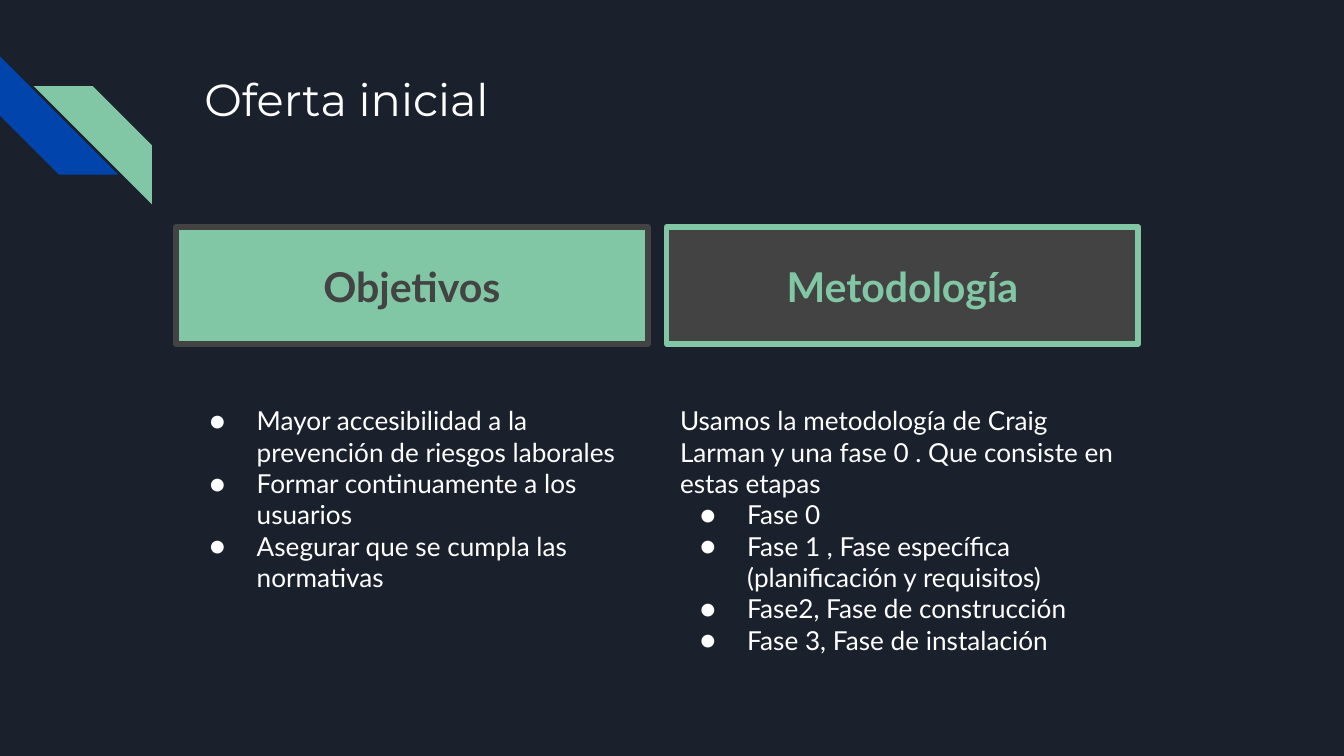
from dataclasses import dataclass

from lxml import etree
from pptx import Presentation
from pptx.dml.color import RGBColor
from pptx.enum.shapes import MSO_SHAPE
from pptx.enum.text import MSO_ANCHOR, MSO_AUTO_SIZE, PP_ALIGN
from pptx.oxml.ns import qn
from pptx.util import Inches, Pt

RECTANGLE, STRIPE = MSO_SHAPE.RECTANGLE, MSO_SHAPE.DIAGONAL_STRIPE
TOP, MIDDLE = MSO_ANCHOR.TOP, MSO_ANCHOR.MIDDLE
LEFT, CENTER = PP_ALIGN.LEFT, PP_ALIGN.CENTER
NO_AUTOFIT = MSO_AUTO_SIZE.NONE


@dataclass(frozen=True)
class Theme:
    background: str = "1B212C"
    blue: str = "0145AC"
    green: str = "82C7A5"
    grey: str = "434343"
    white: str = "FFFFFF"
    title_font: str = "Montserrat"
    text_font: str = "Lato"
    title_size: int = 24
    heading_size: int = 22
    body_size: int = 14


THEME = Theme()

# Content
TITLE = "Oferta inicial"
COLUMNS = [
    {
        "heading": "Objetivos", "fill": THEME.green, "accent": THEME.grey,
        "intro": [],
        "bullets": [
            "Mayor accesibilidad a la prevención de riesgos laborales",
            "Formar continuamente a los usuarios",
            "Asegurar que se cumpla las normativas",
        ],
    },
    {
        "heading": "Metodología", "fill": THEME.grey, "accent": THEME.green,
        "intro": ["Usamos la metodología de Craig Larman y una fase 0 . "
                  "Que consiste en estas etapas"],
        "bullets": [
            "Fase 0",
            "Fase 1 , Fase específica (planificación y requisitos)",
            "Fase2, Fase de construcción",
            "Fase 3, Fase de instalación",
        ],
    },
]

# Grid, in inches, on a 16:9 slide
SLIDE_WIDTH = 10
SLIDE_HEIGHT = SLIDE_WIDTH * 9 / 16
TITLE_BOX = (1.42, 0.43, 7.7, 1)
GRID_LEFT, COLUMN_WIDTH, GUTTER = 1.31, 3.51, 0.14
HEADING_TOP, HEADING_HEIGHT = 1.69, 0.87
BODY_TOP, BODY_HEIGHT = 2.67, 2.32
INSET, BODY_INSET_TOP = 0.1, 0.34
BULLET_INDENT, BULLET_HANG = 0.5, 0.35
STRIPE_SIZE = 0.88


def rgb(value):
    return RGBColor.from_string(value)


def place(shape, left, top, width, height):
    shape.left, shape.top = Inches(left), Inches(top)
    shape.width, shape.height = Inches(width), Inches(height)


def set_frame(shape, anchor, top_inset=INSET):
    frame = shape.text_frame
    frame.auto_size = NO_AUTOFIT
    frame.word_wrap = True
    frame.vertical_anchor = anchor
    frame.margin_left = frame.margin_right = frame.margin_bottom = Inches(INSET)
    frame.margin_top = Inches(top_inset)
    return frame


def write(paragraph, text, font, size, color, align=LEFT, bold=False):
    paragraph.alignment = align
    paragraph.space_before = Pt(0)
    run = paragraph.add_run()
    run.text = text
    run.font.name, run.font.size, run.font.bold = font, Pt(size), bold
    run.font.color.rgb = rgb(color)


def set_bullet(paragraph, bulleted):
    props = paragraph._p.get_or_add_pPr()
    props.set("marL", str(Inches(BULLET_INDENT) if bulleted else 0))
    props.set("indent", str(-Inches(BULLET_HANG) if bulleted else 0))
    if bulleted:
        color = etree.SubElement(props, qn("a:buClr"))
        etree.SubElement(color, qn("a:srgbClr"), val=THEME.white)
        etree.SubElement(props, qn("a:buFont"), typeface=THEME.text_font)
        etree.SubElement(props, qn("a:buChar"), char="●")
    else:
        etree.SubElement(props, qn("a:buNone"))


def add_filled(slide, kind, box, fill):
    shape = slide.shapes.add_shape(kind, *map(Inches, box))
    shape.shadow.inherit = False
    shape.fill.solid()
    shape.fill.fore_color.rgb = rgb(fill)
    shape.line.fill.background()
    return shape


def add_heading(slide, left, column):
    box = (left, HEADING_TOP, COLUMN_WIDTH, HEADING_HEIGHT)
    heading = add_filled(slide, RECTANGLE, box, column["fill"])
    heading.line.color.rgb = rgb(column["accent"])
    heading.line.width = Pt(3)
    etree.SubElement(heading.line._get_or_add_ln(), qn("a:round"))
    frame = set_frame(heading, MIDDLE)
    write(frame.paragraphs[0], column["heading"], THEME.text_font,
          THEME.heading_size, column["accent"], CENTER, True)


def fill_body(body, left, column):
    place(body, left, BODY_TOP, COLUMN_WIDTH, BODY_HEIGHT)
    frame = set_frame(body, TOP, BODY_INSET_TOP)
    lines = [(text, False) for text in column["intro"]]
    lines += [(text, True) for text in column["bullets"]]
    for index, (text, bulleted) in enumerate(lines):
        paragraph = frame.add_paragraph() if index else frame.paragraphs[0]
        write(paragraph, text, THEME.text_font, THEME.body_size, THEME.white)
        set_bullet(paragraph, bulleted)


def main():
    deck = Presentation()
    deck.slide_width = Inches(SLIDE_WIDTH)
    deck.slide_height = Inches(SLIDE_HEIGHT)
    slide = deck.slides.add_slide(deck.slide_layouts[3])
    slide.background.fill.solid()
    slide.background.fill.fore_color.rgb = rgb(THEME.background)

    # Corner stripes
    blue_stripe = add_filled(
        slide, STRIPE, (0, 0.42, STRIPE_SIZE, STRIPE_SIZE), THEME.blue)
    blue_stripe.rotation = 270
    green_stripe = add_filled(
        slide, STRIPE, (0.25, 0.64, STRIPE_SIZE, STRIPE_SIZE), THEME.green)
    green_stripe.element.spPr.get_or_add_xfrm().set("flipH", "1")

    # Title
    title = slide.shapes.title
    place(title, *TITLE_BOX)
    write(set_frame(title, TOP).paragraphs[0], TITLE,
          THEME.title_font, THEME.title_size, THEME.white)

    # Columns: heading above body
    for index, column in enumerate(COLUMNS):
        left = GRID_LEFT + index * (COLUMN_WIDTH + GUTTER)
        add_heading(slide, left, column)
        fill_body(slide.placeholders[index + 1], left, column)

    deck.save("out.pptx")


if __name__ == "__main__":
    main()
